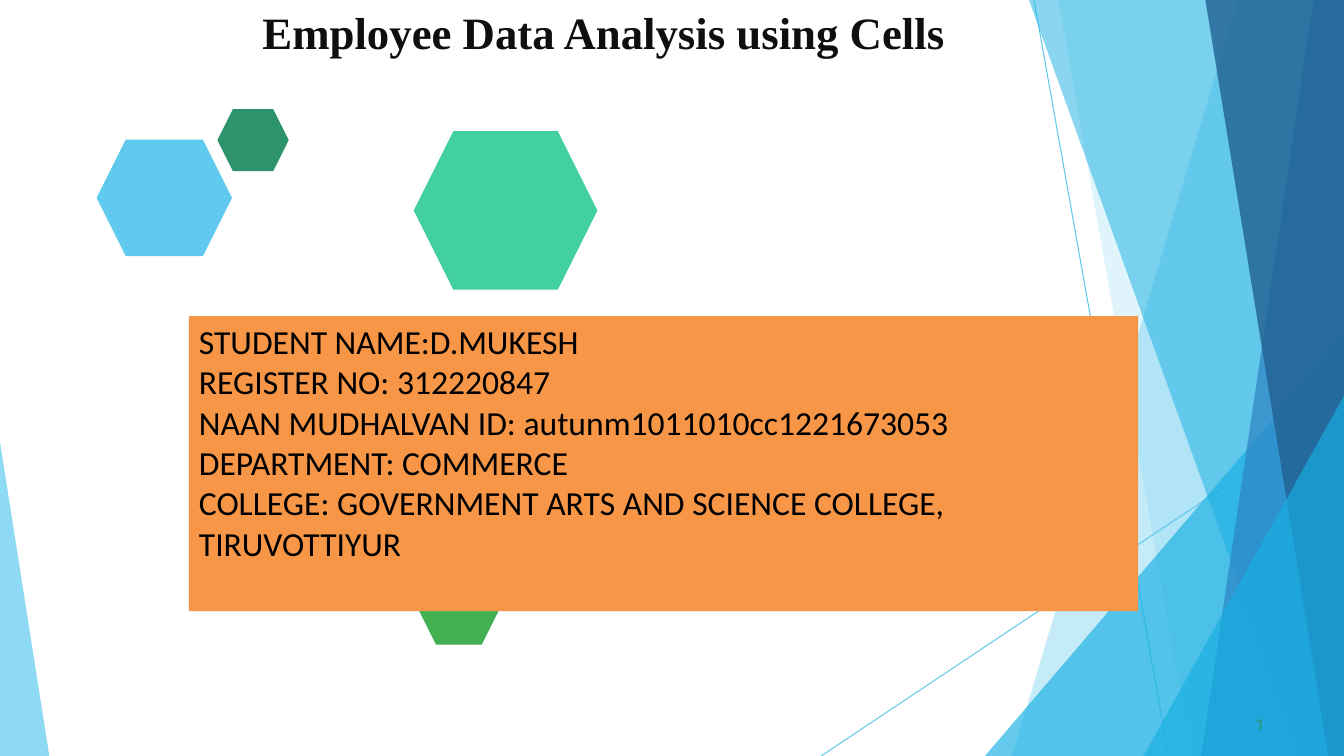
import pptx
import pptx.dml.color
import pptx.enum.shapes
import pptx.enum.text
import pptx.oxml.ns
import pptx.util
from lxml import etree

PX = 9525  # EMU per px, 96 px to the inch
WIDTH, HEIGHT = 1280, 720
COLOURS = {
    "sky": "5FCAEE", "cyan": "17AFE3", "blue": "2D83C3", "navy": "226192",
    "pine": "2D936B", "mint": "42D0A1", "leaf": "42AF51",
    "orange": "F79646", "ink": "0F0F0F", "black": "000000",
}


def paint(shape, colour, opacity=100):
    shape.shadow.inherit = False
    shape.line.fill.background()
    shape.fill.solid()
    shape.fill.fore_color.rgb = pptx.dml.color.RGBColor.from_string(COLOURS[colour])
    if opacity < 100:
        tint = shape.fill._xPr.find(".//" + pptx.oxml.ns.qn("a:srgbClr"))
        etree.SubElement(tint, pptx.oxml.ns.qn("a:alpha"), val=str(opacity * 1000))


def write(shape, lines, font, size, colour, bold=False, before=0):
    frame = shape.text_frame
    frame.word_wrap = True
    frame.vertical_anchor = pptx.enum.text.MSO_ANCHOR.TOP
    for index, line in enumerate(lines):
        para = frame.add_paragraph() if index else frame.paragraphs[0]
        para.alignment = pptx.enum.text.PP_ALIGN.LEFT
        para.space_before = pptx.util.Pt(before)
        span = para.add_run()
        span.text = line
        span.font.name = font
        span.font.size = pptx.util.Pt(size)
        span.font.bold = bold
        span.font.color.rgb = pptx.dml.color.RGBColor.from_string(COLOURS[colour])


deck = pptx.Presentation()
deck.slide_width, deck.slide_height = WIDTH * PX, HEIGHT * PX
page = deck.slides.add_slide(deck.slide_layouts[6])

# Thin crossing lines
for ends in [(985, 1, 1113, HEIGHT), (WIDTH, 388, 782, HEIGHT)]:
    line = page.shapes.add_connector(
        pptx.enum.shapes.MSO_CONNECTOR.STRAIGHT, *[end * PX for end in ends])
    line.line.color.rgb = pptx.dml.color.RGBColor.from_string(COLOURS["sky"])
    line.line.width = pptx.util.Pt(0.75)
    etree.SubElement(line._element.spPr, pptx.oxml.ns.qn("a:effectLst"))

# Translucent facets: corner points, colour, opacity
right_top, right_bottom = (WIDTH, 0), (WIDTH, HEIGHT)
facets = [
    ([right_top, (1179, 0), (964, HEIGHT), right_bottom], "sky", 36),
    ([right_top, (1008, 0), (1135, HEIGHT), right_bottom], "sky", 20),
    ([(WIDTH, 320), (938, HEIGHT), right_bottom], "cyan", 66),
    ([right_top, (980, 0), (1239, HEIGHT), right_bottom], "cyan", 50),
    ([right_top, (1251, 0), (1144, HEIGHT), right_bottom], "blue", 70),
    ([right_top, (1148, 0), (1265, HEIGHT), right_bottom], "navy", 80),
    ([(WIDTH, 377), (1089, HEIGHT), right_bottom], "cyan", 66),
    ([(0, 421), (0, HEIGHT), (47, HEIGHT)], "sky", 70),
]
for corners, colour, opacity in facets:
    outline = page.shapes.build_freeform(*corners[0], scale=PX)
    outline.add_line_segments(corners[1:], close=True)
    paint(outline.convert_to_shape(), colour, opacity)

# Hexagons
for left, top, width, height, colour in [
    (92, 133, 129, 111, "sky"),
    (207, 104, 68, 59, "pine"),
    (394, 125, 175, 151, "mint"),
    (399, 549, 76, 65, "leaf"),
]:
    hexagon = page.shapes.add_shape(
        pptx.enum.shapes.MSO_SHAPE.HEXAGON, left * PX, top * PX, width * PX, height * PX)
    paint(hexagon, colour)

# Title and page number
for left, top, width, height, inset, text, font, size, colour, bold, before in [
    (250, 2, 711, 106, 2, "Employee Data Analysis using Cells",
     "Times New Roman", 32, "ink", True, 1.3),
    (1192, 680, 16, 20, 1, "1", "Roboto", 11, "pine", False, 0.6),
]:
    box = page.shapes.add_textbox(left * PX, top * PX, width * PX, height * PX)
    frame = box.text_frame
    frame.margin_left = 0 if bold else 4 * PX
    frame.margin_right = frame.margin_bottom = 0
    frame.margin_top = inset * PX
    write(box, [text], font, size, colour, bold, before)

# Student details
card = page.shapes.add_shape(
    pptx.enum.shapes.MSO_SHAPE.RECTANGLE, 180 * PX, 301 * PX, 904 * PX, 281 * PX)
paint(card, "orange")
write(card, [
    "STUDENT NAME:D.MUKESH",
    "REGISTER NO: 312220847",
    "NAAN MUDHALVAN ID: autunm1011010cc1221673053",
    "DEPARTMENT: COMMERCE",
    "COLLEGE: GOVERNMENT ARTS AND SCIENCE COLLEGE, TIRUVOTTIYUR",
], "Calibri", 24, "black")

deck.save("out.pptx")
